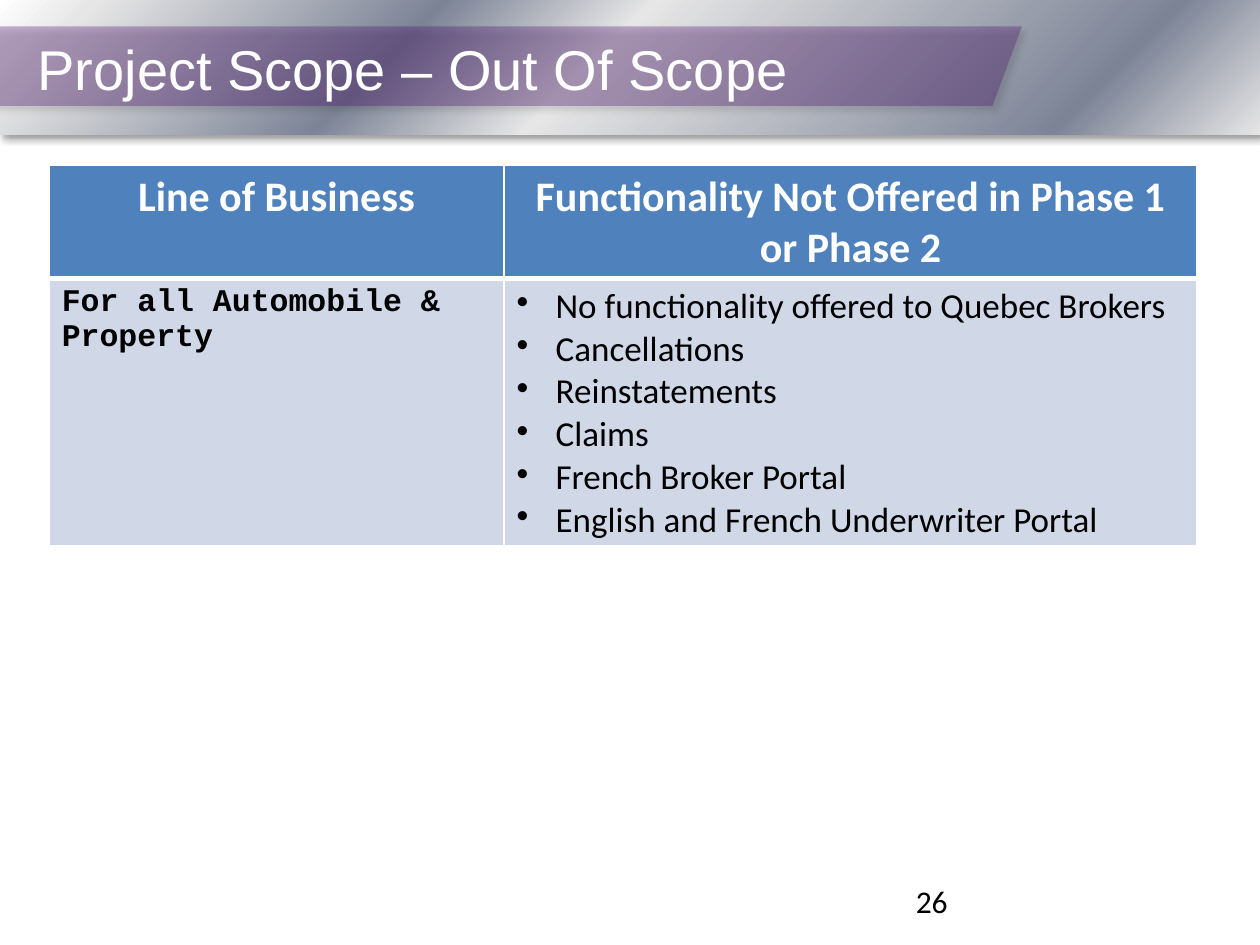
from lxml import etree
from pptx import Presentation
from pptx.dml.color import RGBColor
from pptx.enum.shapes import MSO_SHAPE as Shape
from pptx.enum.text import MSO_ANCHOR as Anchor, PP_ALIGN as Align
from pptx.oxml import parse_xml
from pptx.oxml.ns import nsdecls, qn
from pptx.util import Inches, Pt

TITLE = "Project Scope – Out Of Scope"
PAGE_NUMBER = "26"
HEADERS = ["Line of Business", "Functionality Not Offered in Phase 1 or Phase 2"]
BUSINESS = "For all Automobile & Property"
EXCLUSIONS = [
    "No functionality offered to Quebec Brokers",
    "Cancellations",
    "Reinstatements",
    "Claims",
    "French Broker Portal",
    "English and French Underwriter Portal",
]

WHITE = RGBColor(0xFF, 0xFF, 0xFF)
BLACK = RGBColor(0, 0, 0)
PURPLE = RGBColor(0x4B, 0x0B, 0x71)
BLUE = RGBColor(0x4F, 0x81, 0xBD)
PALE_BLUE = RGBColor(0xD0, 0xD8, 0xE8)
SILVER = RGBColor(0xE6, 0xE6, 0xE6)
STEEL = RGBColor(0x7D, 0x84, 0x96)
METAL = [(0, WHITE), (7, SILVER), (32, STEEL), (47, SILVER), (85, STEEL), (100, SILVER)]

COLUMNS = [3.61, 5.5]
ROWS = [0.9, 2.12]
INDENT = 0.31


def inches(*values):
    return [Inches(value) for value in values]


def add_band(slide, kind, box):
    """Add an unlined shape with a soft shadow to the lower right."""
    band = slide.shapes.add_shape(kind, *inches(*box))
    band.line.fill.background()
    band.shadow.inherit = False
    effects = band._element.spPr.find(qn("a:effectLst"))
    effects.append(parse_xml(
        f'<a:outerShdw {nsdecls("a")} blurRad="{Pt(4)}" dist="{Pt(3)}" dir="2700000" '
        'algn="tl" rotWithShape="0"><a:srgbClr val="000000"><a:alpha val="40000"/>'
        '</a:srgbClr></a:outerShdw>'))
    return band


def fill_metal(shape):
    shape.fill.solid()
    properties = shape._element.spPr
    stops = "".join(f'<a:gs pos="{position * 1000}"><a:srgbClr val="{color}"/></a:gs>'
                    for position, color in METAL)
    gradient = parse_xml(f'<a:gradFill {nsdecls("a")} rotWithShape="1"><a:gsLst>{stops}'
                         '</a:gsLst><a:lin ang="2700000" scaled="0"/></a:gradFill>')
    properties.replace(properties.find(qn("a:solidFill")), gradient)


def write(frame, lines, font, size, color, bold=False, align=Align.LEFT):
    frame.word_wrap = True
    frame.text = "\n".join(lines)
    for paragraph in frame.paragraphs:
        paragraph.alignment = align
        paragraph.font.name = font
        paragraph.font.size = Pt(size)
        paragraph.font.bold = bold
        paragraph.font.color.rgb = color


def add_bullets(frame):
    for paragraph in frame.paragraphs:
        properties = paragraph._p.get_or_add_pPr()
        properties.set("marL", str(Inches(INDENT)))
        properties.set("indent", str(-Inches(INDENT)))
        bullet = parse_xml(f'<a:buChar {nsdecls("a")} char="•"/>')
        properties.find(qn("a:defRPr")).addprevious(bullet)


def style_cell(cell, color, top, bottom):
    """Fill the cell and draw white borders, with top and bottom widths in points."""
    properties = cell._tc.get_or_add_tcPr()
    for side, width in (("L", 1), ("R", 1), ("T", top), ("B", bottom)):
        line = etree.SubElement(properties, qn(f"a:ln{side}"), w=str(Pt(width)))
        fill = etree.SubElement(line, qn("a:solidFill"))
        etree.SubElement(fill, qn("a:srgbClr"), val=str(WHITE))
    cell.fill.solid()
    cell.fill.fore_color.rgb = color


def add_scope_table(slide):
    table = slide.shapes.add_table(
        len(ROWS), len(COLUMNS), *inches(0.39, 1.31, sum(COLUMNS), sum(ROWS))).table
    for column, width in zip(table.columns, COLUMNS):
        column.width = Inches(width)
    for row, height in zip(table.rows, ROWS):
        row.height = Inches(height)
    for index, header in enumerate(HEADERS):
        heading, body = table.cell(0, index), table.cell(1, index)
        style_cell(heading, BLUE, 1, 3)
        style_cell(body, PALE_BLUE, 3, 1)
        write(heading.text_frame, [header], "Calibri", 24, WHITE, True, Align.CENTER)
    write(table.cell(1, 0).text_frame, [BUSINESS], "Courier New", 18, BLACK, True)
    exclusions = table.cell(1, 1).text_frame
    write(exclusions, EXCLUSIONS, "Calibri", 20, BLACK)
    add_bullets(exclusions)


def main():
    presentation = Presentation()
    presentation.slide_width, presentation.slide_height = inches(10, 7.5)
    slide = presentation.slides.add_slide(presentation.slide_layouts[6])

    fill_metal(add_band(slide, Shape.RECTANGLE, (0, 0, 10, 1.07)))
    ribbon = add_band(slide, Shape.PARALLELOGRAM, (-0.28, 0.21, 8.39, 0.63))
    ribbon.rotation = 180
    ribbon.adjustments[0] = 0.37
    ribbon.fill.solid()
    ribbon.fill.fore_color.rgb = PURPLE
    tint = ribbon._element.spPr.find(qn("a:solidFill"))[0]
    etree.SubElement(tint, qn("a:alpha"), val="30000")

    title = slide.shapes.add_textbox(*inches(0.2, 0.27, 9, 0.54)).text_frame
    write(title, [TITLE], "Arial", 32, WHITE)
    title.vertical_anchor = Anchor.MIDDLE
    number = slide.shapes.add_textbox(*inches(7.17, 6.95, 2.33, 0.4)).text_frame
    write(number, [PAGE_NUMBER], "Calibri", 18, BLACK)
    add_scope_table(slide)
    presentation.save("out.pptx")


if __name__ == "__main__":
    main()
